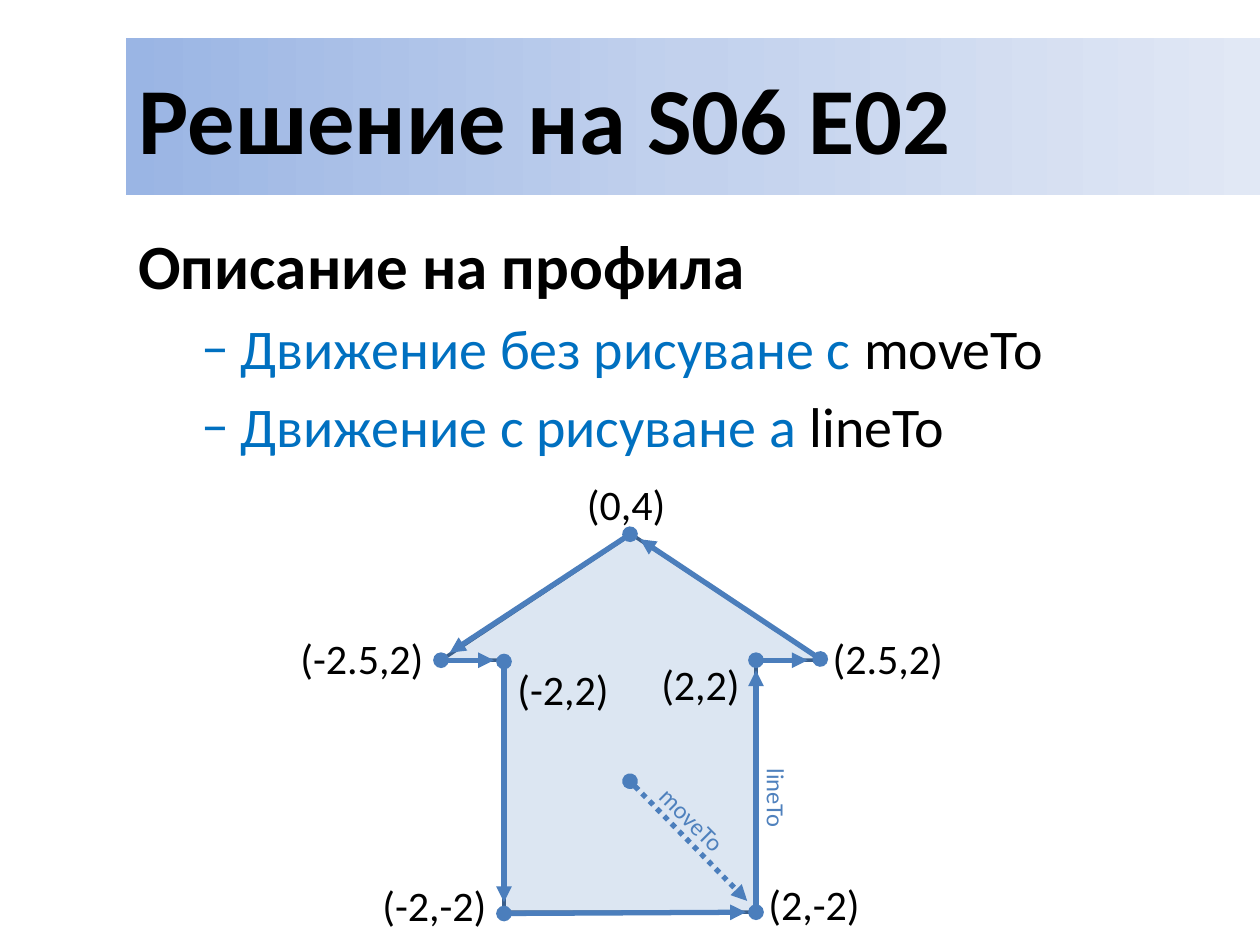
import copy

import lxml.etree
import pptx
import pptx.dml.color
import pptx.enum.dml
import pptx.enum.shapes
import pptx.enum.text
import pptx.oxml.ns
import pptx.util

Inches = pptx.util.Inches
Pt = pptx.util.Pt
RGBColor = pptx.dml.color.RGBColor
ALIGN = pptx.enum.text.PP_ALIGN
ANCHOR = pptx.enum.text.MSO_ANCHOR
qn = pptx.oxml.ns.qn

BLACK = RGBColor(0x00, 0x00, 0x00)
TEXT_BLUE = RGBColor(0x00, 0x70, 0xC0)
LABEL_BLUE = RGBColor(0x4F, 0x81, 0xBD)
ARROW_BLUE = RGBColor(0x4B, 0x7E, 0xBC)
HOUSE_FILL = RGBColor(0xDC, 0xE6, 0xF2)
HOUSE_LINE = RGBColor(0x3A, 0x5F, 0x8C)
BANNER_STOPS = [
    (0, RGBColor(0x9A, 0xB5, 0xE4)),
    (0.5, RGBColor(0xC2, 0xD1, 0xED)),
    (1, RGBColor(0xE1, 0xE8, 0xF5)),
]

HOUSE_CORNERS = [(5.01, 4.24), (6.52, 5.24), (6, 5.24), (6, 7.24),
                 (4, 7.24), (4, 5.24), (3.5, 5.24)]
LINE_ARROWS = [
    (6, 7.24, 6, 5.32),
    (3.5, 5.24, 3.92, 5.24),
    (6.51, 5.23, 5.08, 4.28),
    (5, 4.24, 3.57, 5.18),
    (4, 5.25, 4, 7.16),
    (4, 7.25, 5.92, 7.24),
    (6, 5.24, 6.41, 5.24),
]
POINT_LABELS = [
    ("(2,-2)", 6, 6.92, 0.93, ALIGN.LEFT),
    ("(2,2)", 5.15, 5.18, 0.83, ALIGN.LEFT),
    ("(2.5,2)", 6.51, 4.97, 1.08, ALIGN.LEFT),
    ("(0,4)", 4.56, 3.75, 0.83, ALIGN.LEFT),
    ("(-2,-2)", 2.92, 6.93, 1.04, ALIGN.RIGHT),
    ("(-2,2)", 4, 5.22, 0.93, ALIGN.RIGHT),
    ("(-2.5,2)", 2.27, 4.97, 1.19, ALIGN.RIGHT),
]
COMMAND_LABELS = [("moveTo", 5.08, 6.34, 0.83, 45), ("lineTo", 5.82, 6.17, 0.68, 90)]
BODY_BULLETS = [("Движение без рисуване с ", "moveTo"), ("Движение с рисуване а ", "lineTo")]


def set_attributes(target, values):
    for name, value in values.items():
        setattr(target, name, value)


def add_run(paragraph, text, size, color, bold=False):
    run = paragraph.add_run()
    run.text = text
    set_attributes(run.font, {"name": "Calibri", "size": Pt(size), "bold": bold})
    run.font.color.rgb = color


def add_house(slide):
    points = [(Inches(x), Inches(y)) for x, y in HOUSE_CORNERS]
    builder = slide.shapes.build_freeform(*points[0])
    builder.add_line_segments(points[1:], close=True)
    house = builder.convert_to_shape()
    house.shadow.inherit = False
    house.fill.solid()
    house.fill.fore_color.rgb = HOUSE_FILL
    house.line.color.rgb = HOUSE_LINE
    house.line.width = Pt(2)


def add_title_banner(slide, text):
    banner = slide.shapes.add_shape(
        pptx.enum.shapes.MSO_SHAPE.RECTANGLE, Inches(1), Inches(0.3), Inches(9), Inches(1.25))
    banner.shadow.inherit = False
    banner.line.fill.background()
    banner.fill.gradient()
    banner.fill.gradient_angle = 0
    stop_list = banner._element.spPr.find(".//" + qn("a:gsLst"))
    stop_list.append(copy.deepcopy(stop_list[-1]))
    for stop, (position, color) in zip(banner.fill.gradient_stops, BANNER_STOPS):
        stop.position = position
        stop.color.rgb = color
    set_attributes(banner.text_frame, {"word_wrap": True, "vertical_anchor": ANCHOR.MIDDLE})
    paragraph = banner.text_frame.paragraphs[0]
    paragraph.alignment = ALIGN.LEFT
    add_run(paragraph, text, 54, BLACK, bold=True)


def add_dash_bullet(paragraph):
    properties = paragraph._p.get_or_add_pPr()
    properties.set("marL", str(Inches(0.81)))
    properties.set("indent", str(Inches(-0.31)))
    lxml.etree.SubElement(properties, qn("a:buFont"), typeface="Calibri")
    lxml.etree.SubElement(properties, qn("a:buChar"), char="–")


def add_body(slide, heading, bullets):
    box = slide.shapes.add_textbox(Inches(1), Inches(1.75), Inches(9), Inches(5.58))
    frame = box.text_frame
    frame.word_wrap = True
    paragraph = frame.paragraphs[0]
    paragraph.space_before = Pt(7.2)
    add_run(paragraph, heading, 36, BLACK, bold=True)
    for description, command in bullets:
        paragraph = frame.add_paragraph()
        set_attributes(paragraph, {"level": 1, "space_before": Pt(6.4)})
        add_dash_bullet(paragraph)
        add_run(paragraph, description, 32, TEXT_BLUE)
        add_run(paragraph, command, 32, BLACK)


def add_label(slide, text, left, top, width, height, size, color,
              alignment=ALIGN.LEFT, rotation=0):
    box = slide.shapes.add_textbox(Inches(left), Inches(top), Inches(width), Inches(height))
    box.rotation = rotation
    set_attributes(box.text_frame, {
        "word_wrap": False,
        "auto_size": pptx.enum.text.MSO_AUTO_SIZE.SHAPE_TO_FIT_TEXT,
    })
    paragraph = box.text_frame.paragraphs[0]
    paragraph.alignment = alignment
    add_run(paragraph, text, size, color)


def add_arrow(slide, ends, dash_style=None):
    arrow = slide.shapes.add_connector(
        pptx.enum.shapes.MSO_CONNECTOR.STRAIGHT, *[Inches(value) for value in ends])
    arrow.line.color.rgb = ARROW_BLUE
    set_attributes(arrow.line, {"width": Pt(3), "dash_style": dash_style})
    line = arrow.line._get_or_add_ln()
    lxml.etree.SubElement(line, qn("a:headEnd"), type="oval")
    lxml.etree.SubElement(line, qn("a:tailEnd"), type="triangle")
    lxml.etree.SubElement(arrow._element.spPr, qn("a:effectLst"))


def main():
    presentation = pptx.Presentation()
    set_attributes(presentation, {"slide_width": Inches(10), "slide_height": Inches(7.5)})
    slide = presentation.slides.add_slide(presentation.slide_layouts[6])

    add_house(slide)
    add_title_banner(slide, "Решение на S06 E02")
    add_body(slide, "Описание на профила", BODY_BULLETS)
    for text, left, top, width, alignment in POINT_LABELS:
        add_label(slide, text, left, top, width, 0.5, 24, BLACK, alignment=alignment)
    add_arrow(slide, (5, 6.2, 5.93, 7.15), pptx.enum.dml.MSO_LINE.ROUND_DOT)
    for ends in LINE_ARROWS:
        add_arrow(slide, ends)
    for text, left, top, width, rotation in COMMAND_LABELS:
        add_label(slide, text, left, top, width, 0.34, 14, LABEL_BLUE, rotation=rotation)

    presentation.save("out.pptx")


if __name__ == "__main__":
    main()
